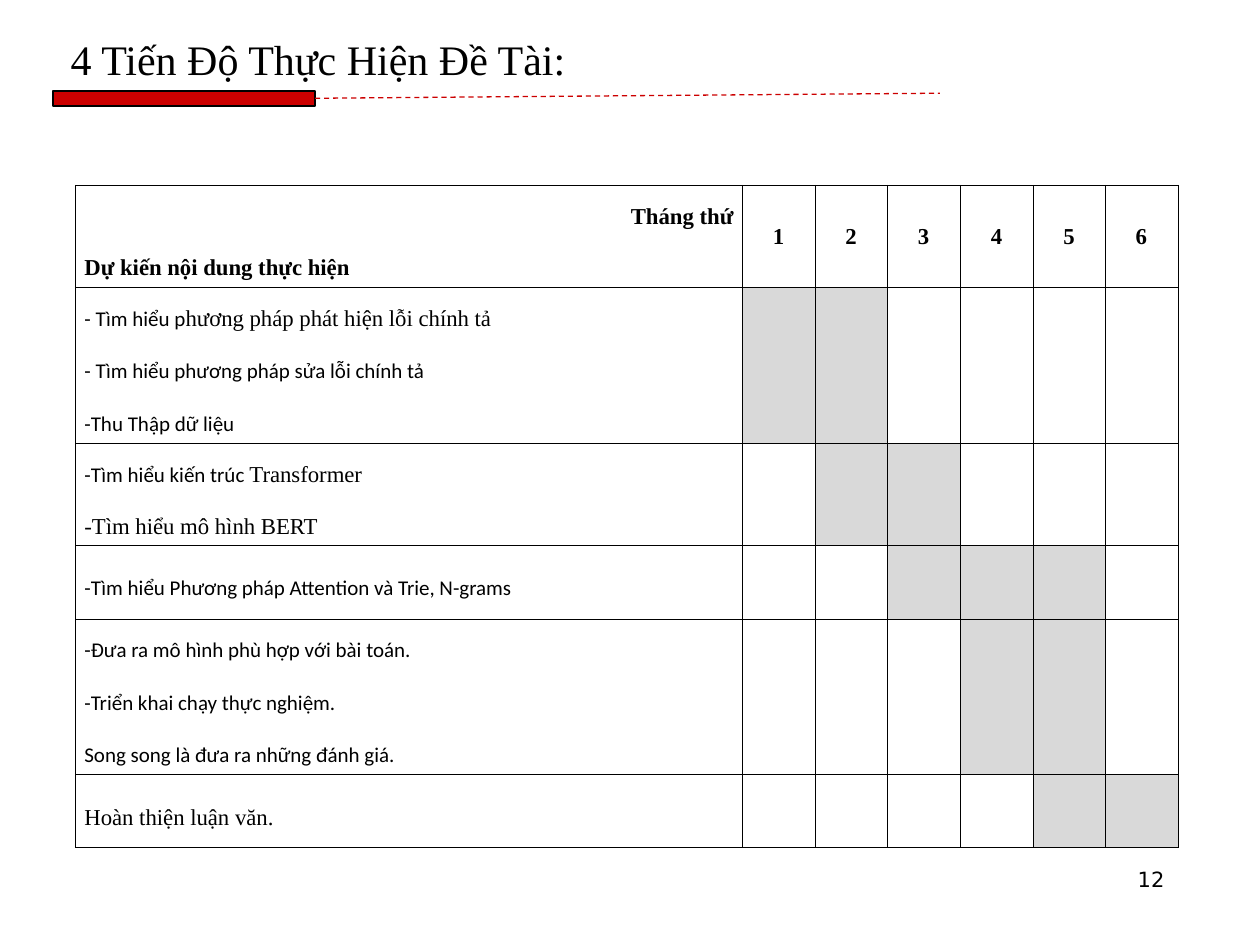
from lxml import etree
from pptx import Presentation
from pptx.dml.color import RGBColor
from pptx.enum.dml import MSO_LINE
from pptx.enum.shapes import MSO_CONNECTOR, MSO_SHAPE
from pptx.enum.text import MSO_ANCHOR, MSO_AUTO_SIZE, PP_ALIGN
from pptx.oxml import parse_xml
from pptx.oxml.ns import nsdecls, qn
from pptx.util import Inches, Pt

RECTANGLE = MSO_SHAPE.RECTANGLE
STRAIGHT = MSO_CONNECTOR.STRAIGHT
DASH = MSO_LINE.DASH
LEFT, CENTER, RIGHT, JUSTIFY = PP_ALIGN.LEFT, PP_ALIGN.CENTER, PP_ALIGN.RIGHT, PP_ALIGN.JUSTIFY
TOP, MIDDLE, BOTTOM = MSO_ANCHOR.TOP, MSO_ANCHOR.MIDDLE, MSO_ANCHOR.BOTTOM
NO_FIT = MSO_AUTO_SIZE.NONE
RIGHT_SIDE = 3

COLORS = {"text": "000000", "accent": "CC0000", "planned": "D9D9D9", "free": "FFFFFF"}
SERIF = ("Times New Roman", 13)
SANS = ("Calibri", 12)

MONTHS = range(1, 7)
COLUMN_WIDTHS = [5.29, 0.58, 0.57, 0.58, 0.58, 0.57, 0.58]
HEADER_HEIGHT = 0.76
TASKS = [
    (1.15, {1, 2}, LEFT, [
        [("- Tìm hiểu p", SANS), ("hương pháp phát hiện lỗi chính tả", SERIF)],
        [("- Tìm hiểu phương pháp sửa lỗi chính tả", SANS)],
        [("-Thu Thập dữ liệu", SANS)],
    ]),
    (0.76, {2, 3}, LEFT, [
        [("-Tìm hiểu kiến trúc ", SANS), ("Transformer", SERIF)],
        [("-Tìm hiểu mô hình BERT", SERIF)],
    ]),
    (0.58, {3, 4, 5}, LEFT, [
        [("-Tìm hiểu Phương pháp Attention và Trie, N-grams", SANS)],
    ]),
    (1.13, {4, 5}, LEFT, [
        [("-Đưa ra mô hình phù hợp với bài toán.", SANS)],
        [("-Triển khai chạy thực nghiệm.", SANS)],
        [("Song song là đưa ra những đánh giá.", SANS)],
    ]),
    (0.58, {5, 6}, JUSTIFY, [
        [("Hoàn thiện luận văn.", SERIF)],
    ]),
]


def color(name):
    return RGBColor.from_string(COLORS[name])


def format_run(run, font, size, bold=False):
    run.font.name = font
    run.font.size = Pt(size)
    run.font.bold = bold
    run.font.color.rgb = color("text")


def add_title(slide, wording):
    title = slide.shapes.title
    title.left, title.top = Inches(0.46), Inches(0.09)
    title.width, title.height = Inches(8.75), Inches(0.63)
    frame = title.text_frame
    frame.text = wording
    frame.auto_size = NO_FIT
    frame.vertical_anchor = BOTTOM
    frame.paragraphs[0].alignment = LEFT
    format_run(frame.paragraphs[0].runs[0], "Times New Roman", 24)


def add_title_rule(slide):
    bar = slide.shapes.add_shape(
        RECTANGLE, Inches(0.42), Inches(0.72), Inches(2.08), Inches(0.12))
    bar.shadow.inherit = False
    bar.fill.solid()
    bar.fill.fore_color.rgb = color("accent")
    bar.line.color.rgb = color("text")
    bar.line.width = Pt(1)

    rule = slide.shapes.add_connector(
        STRAIGHT, Inches(2.5), Inches(0.78), Inches(7.46), Inches(0.74))
    rule.begin_connect(bar, RIGHT_SIDE)
    rule.line.color.rgb = color("accent")
    rule.line.width = Pt(0.75)
    rule.line.dash_style = DASH
    etree.SubElement(rule._element.spPr, qn("a:effectLst"))


def style_cell(cell, fill, anchor=MIDDLE):
    cell.margin_left = cell.margin_right = Inches(0.07)
    cell.margin_top = cell.margin_bottom = Inches(0.05)
    cell.vertical_anchor = anchor
    cell.fill.solid()
    cell.fill.fore_color.rgb = color(fill)
    properties = cell._tc.get_or_add_tcPr()
    for position, side in enumerate(("lnL", "lnR", "lnT", "lnB")):
        properties.insert(position, parse_xml(
            f'<a:{side} {nsdecls("a")} w="{Pt(0.45)}"><a:solidFill>'
            f'<a:srgbClr val="{COLORS["text"]}"/></a:solidFill></a:{side}>'))


def write_lines(cell, lines, alignments, spacing=1.5, bold=False):
    frame = cell.text_frame
    frame.text = "\n".join(line[0][0] for line in lines)
    for paragraph, line, alignment in zip(frame.paragraphs, lines, alignments):
        paragraph.alignment = alignment
        paragraph.line_spacing = spacing
        paragraph.space_after = Pt(8)
        for wording, _ in line[1:]:
            paragraph.add_run().text = wording
        for run, (_, (font, size)) in zip(paragraph.runs, line):
            format_run(run, font, size, bold)


def add_schedule(slide):
    heights = [HEADER_HEIGHT] + [task[0] for task in TASKS]
    schedule = slide.shapes.add_table(
        len(heights), len(COLUMN_WIDTHS), Inches(0.6), Inches(1.47),
        Inches(sum(COLUMN_WIDTHS)), Inches(sum(heights))).table
    schedule.first_row = schedule.horz_banding = False
    for column, width in zip(schedule.columns, COLUMN_WIDTHS):
        column.width = Inches(width)
    for row, height in zip(schedule.rows, heights):
        row.height = Inches(height)

    corner = schedule.cell(0, 0)
    style_cell(corner, "free", TOP)
    write_lines(corner, [[("Tháng thứ", SERIF)], [("Dự kiến nội dung thực hiện", SERIF)]],
                [RIGHT, LEFT], bold=True)
    for month in MONTHS:
        heading = schedule.cell(0, month)
        style_cell(heading, "free")
        write_lines(heading, [[(str(month), SERIF)]], [CENTER], 1.07, True)

    for row, (_, planned_months, alignment, lines) in enumerate(TASKS, 1):
        description = schedule.cell(row, 0)
        style_cell(description, "free")
        write_lines(description, lines, [alignment] * len(lines))
        for month in MONTHS:
            style_cell(schedule.cell(row, month),
                       "planned" if month in planned_months else "free")


def add_page_number(slide, number):
    page_number = slide.shapes.add_textbox(
        Inches(7.17), Inches(6.83), Inches(2.17), Inches(0.52))
    frame = page_number.text_frame
    frame.word_wrap = True
    frame.text = number
    frame.paragraphs[0].alignment = RIGHT
    format_run(frame.paragraphs[0].runs[0], "DejaVu Sans", 12)


def main():
    presentation = Presentation()
    presentation.slide_width = Inches(10)
    presentation.slide_height = Inches(7.5)
    slide = presentation.slides.add_slide(presentation.slide_layouts[5])
    add_title(slide, "4 Tiến Độ Thực Hiện Đề Tài:")
    add_title_rule(slide)
    add_schedule(slide)
    add_page_number(slide, "12")
    presentation.save("out.pptx")


if __name__ == "__main__":
    main()
